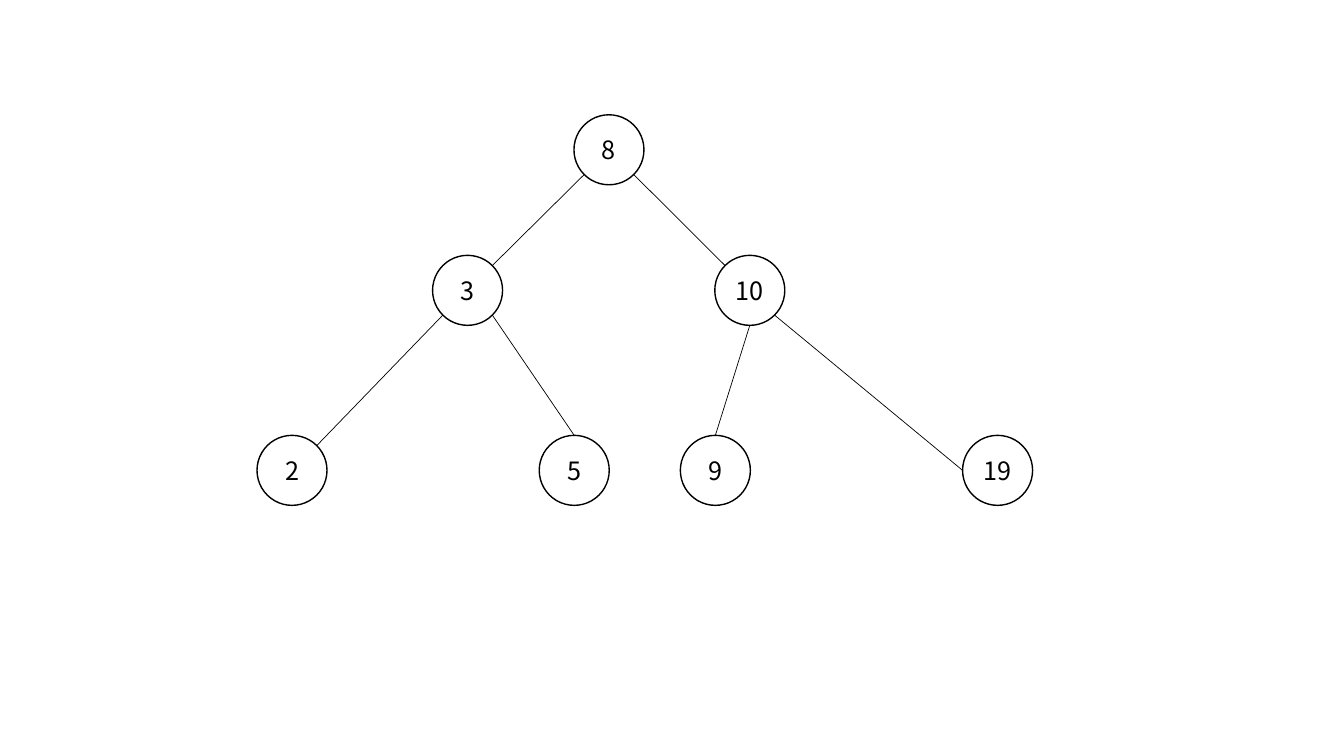
"""Build a slide with a binary search tree."""
from dataclasses import dataclass
from math import cos, radians, sin

from lxml import etree
from pptx import Presentation
from pptx.dml.color import RGBColor
from pptx.enum.shapes import MSO_CONNECTOR, MSO_SHAPE
from pptx.enum.text import MSO_ANCHOR, PP_ALIGN
from pptx.oxml.ns import qn
from pptx.util import Pt

ELLIPSE, STRAIGHT = MSO_SHAPE.OVAL, MSO_CONNECTOR.STRAIGHT
MIDDLE, CENTER = MSO_ANCHOR.MIDDLE, PP_ALIGN.CENTER
TOP, TOP_LEFT, LEFT, BOTTOM_LEFT, BOTTOM, BOTTOM_RIGHT, _, TOP_RIGHT = range(8)


@dataclass(frozen=True)
class Theme:
    """Colours, font and sizes in points."""
    ink: RGBColor = RGBColor(0, 0, 0)
    paper: RGBColor = RGBColor(255, 255, 255)
    font: str = "Noto Sans CJK KR"
    text: float = 18
    outline: float = 1
    edge: float = 0.5
    node: float = 50


THEME = Theme()
LEVELS = (
    (0, {"8": 226.4}),
    (100.4, {"3": 125.4, "10": 327}),
    (229, {"2": 0, "5": 201.6, "9": 302.4, "19": 504}),
)
EDGES = (
    ("8", BOTTOM_LEFT, "3", TOP_RIGHT),
    ("8", BOTTOM_RIGHT, "10", TOP_LEFT),
    ("10", BOTTOM_RIGHT, "19", LEFT),
    ("10", BOTTOM, "9", TOP),
    ("3", BOTTOM_RIGHT, "5", TOP),
    ("3", BOTTOM_LEFT, "2", TOP_RIGHT),
)


def add_node(s, key, x, y):
    """Draw one circle holding its key."""
    sp = s.shapes.add_shape(ELLIPSE, Pt(x), Pt(y), Pt(THEME.node), Pt(THEME.node))
    sp.shadow.inherit = False
    sp.fill.solid()
    sp.fill.fore_color.rgb = THEME.paper
    sp.line.color.rgb = THEME.ink
    sp.line.width = Pt(THEME.outline)
    tf = sp.text_frame
    tf.margin_left = tf.margin_right = tf.margin_top = tf.margin_bottom = 0
    tf.vertical_anchor = MIDDLE
    tf.text = key
    p = tf.paragraphs[0]
    p.alignment = CENTER
    r = p.runs[0]
    r.font.name = THEME.font
    r.font.size = Pt(THEME.text)
    r.font.color.rgb = THEME.ink
    return sp


def site_point(sp, site):
    """Return the place of a connection site, counted anticlockwise from the top."""
    angle = radians(90 + 45 * site)
    radius = sp.width / 2
    return (round(sp.left + radius * (1 + cos(angle))),
            round(sp.top + radius * (1 - sin(angle))))


def add_edge(s, parent, start, child, end):
    """Join two nodes with a line glued to their connection sites."""
    c = s.shapes.add_connector(STRAIGHT, *site_point(parent, start), *site_point(child, end))
    c.line.color.rgb = THEME.ink
    c.line.width = Pt(THEME.edge)
    etree.SubElement(c._element.spPr, qn("a:effectLst"))
    glue = c._element.nvCxnSpPr.cNvCxnSpPr
    for tag, sp, site in (("a:stCxn", parent, start), ("a:endCxn", child, end)):
        etree.SubElement(glue, qn(tag), id=str(sp.shape_id), idx=str(site))


def add_tree(s, left, top):
    """Place the nodes and edges of the tree from its top left corner."""
    nodes = {key: add_node(s, key, left + x, top + y)
             for y, level in LEVELS for key, x in level.items()}
    for parent, start, child, end in EDGES:
        add_edge(s, nodes[parent], start, nodes[child], end)


def main():
    """Build and save the presentation."""
    prs = Presentation()
    prs.slide_width, prs.slide_height = Pt(960), Pt(540)
    s = prs.slides.add_slide(prs.slide_layouts.get_by_name("Blank"))
    add_tree(s, 183.6, 82)
    prs.save("out.pptx")


if __name__ == "__main__":
    main()
